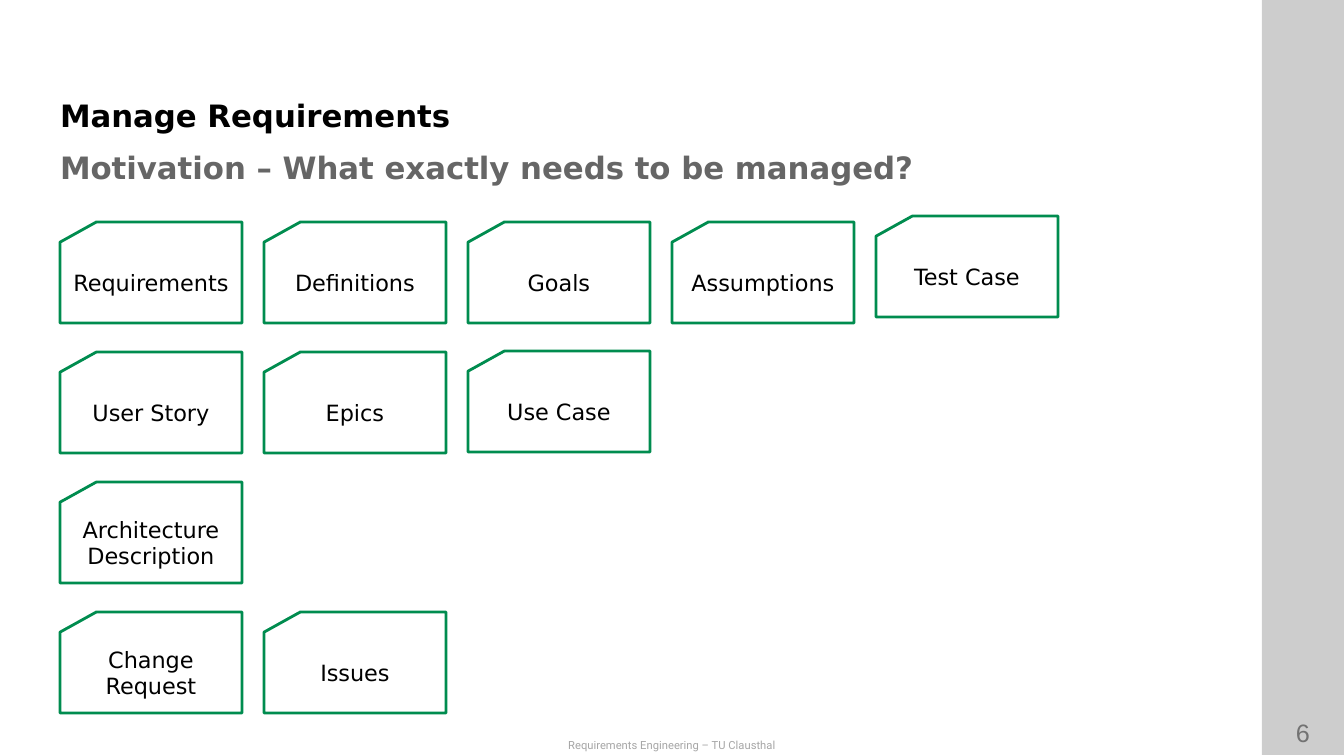
from lxml import etree
from pptx import Presentation
from pptx.dml.color import RGBColor
from pptx.enum.shapes import MSO_SHAPE
from pptx.enum.text import MSO_ANCHOR, PP_ALIGN
from pptx.oxml.ns import qn
from pptx.util import Pt

BLACK = RGBColor(0x00, 0x00, 0x00)
WHITE = RGBColor(0xFF, 0xFF, 0xFF)
GREEN = RGBColor(0x00, 0x8C, 0x4F)
DARK = RGBColor(0x66, 0x66, 0x66)
GRAY = RGBColor(0x80, 0x80, 0x80)
PALE = RGBColor(0xA6, 0xA6, 0xA6)
RECT, CARD = MSO_SHAPE.RECTANGLE, MSO_SHAPE.FLOWCHART_CARD
LEFT, CENTER = PP_ALIGN.LEFT, PP_ALIGN.CENTER
TOP, MIDDLE, BOTTOM = MSO_ANCHOR.TOP, MSO_ANCHOR.MIDDLE, MSO_ANCHOR.BOTTOM

SCALE = 914400 / 100.8
WIDTH, HEIGHT = 1344, 756


def px(n):
    """Turn pixels into EMU."""
    return round(n * SCALE)


class Deck:
    """Holds the style and the current slide."""

    font = "DejaVu Sans"

    def __init__(self):
        """Start a deck with one blank slide."""
        self.prs = Presentation()
        self.prs.slide_width = px(WIDTH)
        self.prs.slide_height = px(HEIGHT)
        self.slide = self.prs.slides.add_slide(self.prs.slide_layouts[6])

    def words(self, shape, text, size, color, align=CENTER, anchor=MIDDLE,
              font=font, bold=False, pad=(10, 5)):
        """Put formatted text into a shape."""
        frame = shape.text_frame
        frame.text = text
        frame.word_wrap = True
        frame.vertical_anchor = anchor
        frame.margin_left = frame.margin_right = px(pad[0])
        frame.margin_top = frame.margin_bottom = px(pad[1])
        par = frame.paragraphs[0]
        par.alignment = align
        for run in par.runs:
            run.font.name = font
            run.font.size = Pt(size)
            run.font.bold = bold
            run.font.color.rgb = color

    def label(self, box, text, size, color, **style):
        """Add a text box."""
        shape = self.slide.shapes.add_textbox(*map(px, box))
        self.words(shape, text, size, color, **style)

    def shape(self, kind, box, color):
        """Add a flat filled shape."""
        shape = self.slide.shapes.add_shape(kind, *map(px, box))
        shape.shadow.inherit = False
        shape.fill.solid()
        shape.fill.fore_color.rgb = color
        return shape

    def veil(self, box, alpha):
        """Add a see-through black bar, alpha in percent."""
        shape = self.shape(RECT, box, BLACK)
        shape.line.fill.background()
        tint = shape._element.spPr.find(".//" + qn("a:srgbClr"))
        etree.SubElement(tint, qn("a:alpha")).set("val", str(alpha * 1000))

    def card(self, box, text):
        """Add a green-edged card with its name."""
        shape = self.shape(CARD, box, WHITE)
        shape.line.color.rgb = GREEN
        shape.line.width = Pt(2)
        self.words(shape, text, 16, BLACK)


ROWS = [
    ["Requirements", "Definitions", "Goals", "Assumptions", "Test Case"],
    ["User Story", "Epics", "Use Case"],
    ["Architecture Description"],
    ["Change Request", "Issues"],
]
LIFT = {"Test Case": 6, "Use Case": 1}  # cards set above their row
BAR = (1262, 0, 82, 755)

deck = Deck()
deck.veil(BAR, 10)
deck.label((1261, 712, 84, 40), "6", 18, GRAY, font="Arial", anchor=TOP)
deck.veil(BAR, 10)
deck.label((0, 733, WIDTH, 23), "Requirements Engineering – TU Clausthal",
           8, PALE, font="Roboto", anchor=TOP)

HEAD = {"align": LEFT, "bold": True, "pad": (0, 0)}
deck.label((60, 80, 1142, 54), "Manage Requirements", 22, BLACK,
           anchor=BOTTOM, **HEAD)
deck.label((60, 140, 1142, 54),
           "Motivation – What exactly needs to be managed?", 22, DARK, **HEAD)

for r, row in enumerate(ROWS):
    for c, name in enumerate(row):
        top = 222 + 130 * r - LIFT.get(name, 0)
        deck.card((60 + 204 * c, top, 182, 101), name)

deck.prs.save("out.pptx")
